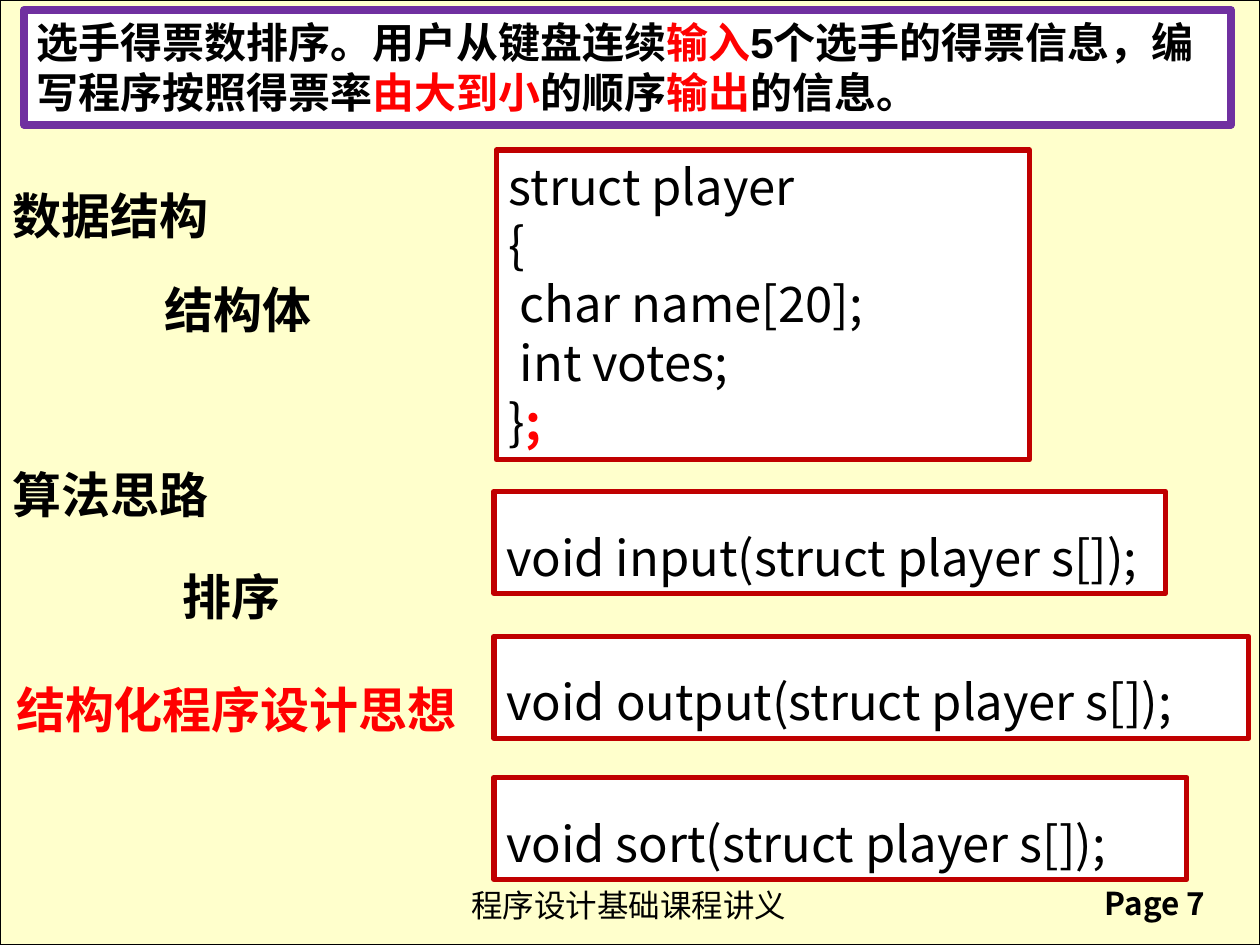
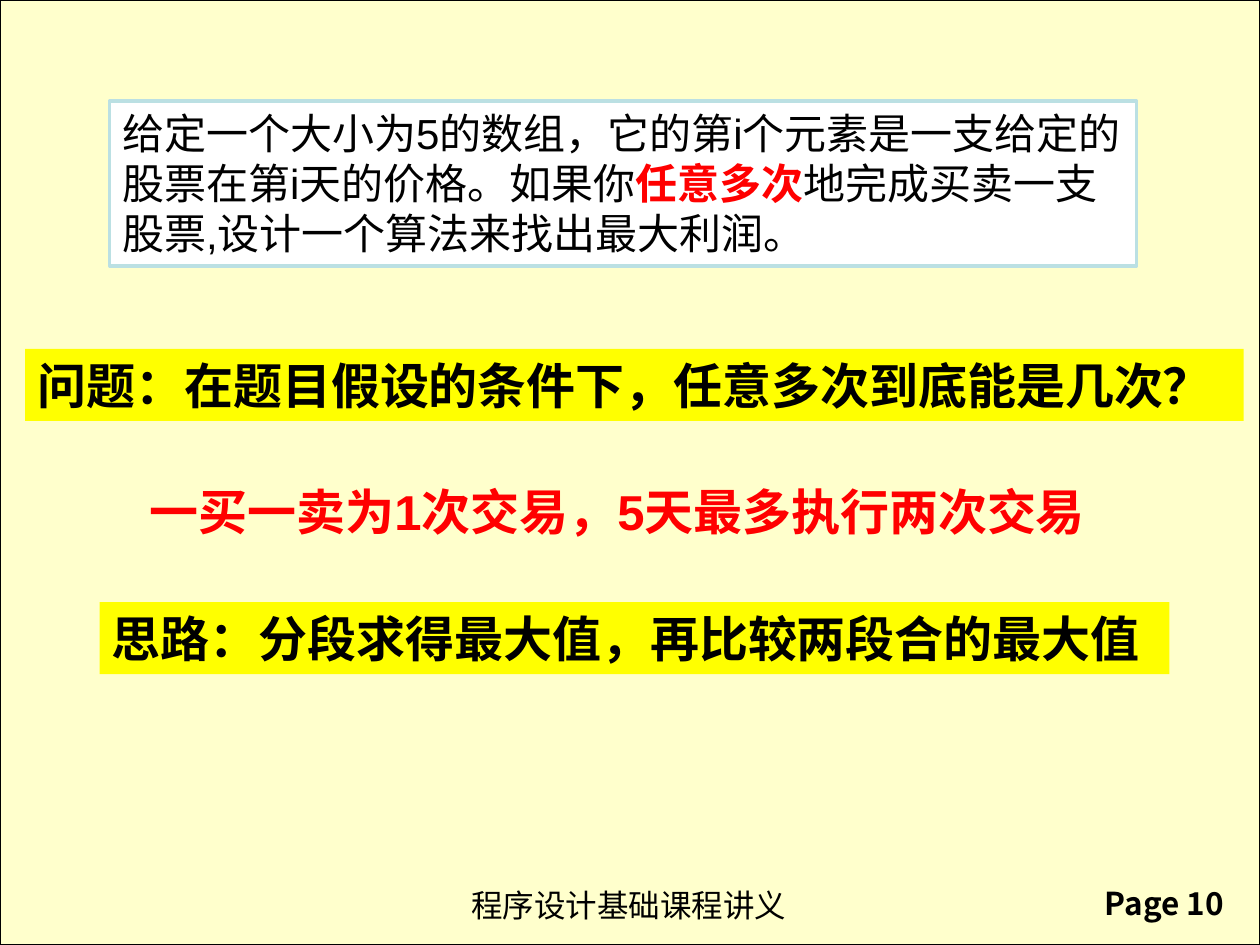
from pptx import Presentation
from pptx import util as u
from pptx.dml.color import RGBColor
from pptx.enum import shapes, text

PX = 9144  # EMU per px, 100 px to the inch
PAGE = (0, 0, 1000, 750)

BLACK = RGBColor(0x00, 0x00, 0x00)
WHITE = RGBColor(0xFF, 0xFF, 0xFF)
CREAM = RGBColor(0xFF, 0xFF, 0xCC)
YELLOW = RGBColor(0xFF, 0xFF, 0x00)
RED = RGBColor(0xFF, 0x00, 0x00)
DARK_RED = RGBColor(0xC0, 0x00, 0x00)
PURPLE = RGBColor(0x70, 0x30, 0xA0)
PALE_BLUE = RGBColor(0xBB, 0xE0, 0xE3)

LATIN, CJK = "Arial", "Noto Sans CJK SC"
HEADING = {"name": LATIN, "size": 28, "bold": True, "color": BLACK}
RED_HEADING = {**HEADING, "color": RED}
CODE = {"name": CJK, "size": 28, "bold": False, "color": BLACK}
BODY = {"name": LATIN, "size": 24, "bold": False, "color": BLACK}
BOLD_BODY = {**BODY, "bold": True}
FOOTER = {"name": LATIN, "size": 18, "bold": False, "color": BLACK}
PAGE_NUMBER = {**FOOTER, "name": CJK, "bold": True}
ACCENT = {"bold": True, "color": RED}


def inside(box, left, top, width, height):
    """Offset a part by the corner of the box that holds it."""
    return box[0] + left, box[1] + top, width, height


def set_font(font, style):
    for key, value in style.items():
        if key == "color":
            font.color.rgb = value
        else:
            setattr(font, key, u.Pt(value) if key == "size" else value)


def write(shape, content, style, wrap=True, spacing=None):
    """Write one paragraph per line; text between bars is accented."""
    frame = shape.text_frame
    frame.word_wrap = wrap
    frame.auto_size = text.MSO_AUTO_SIZE.SHAPE_TO_FIT_TEXT
    frame.vertical_anchor = text.MSO_ANCHOR.TOP
    for number, line in enumerate(content.split("\n")):
        paragraph = frame.add_paragraph() if number else frame.paragraphs[0]
        paragraph.alignment = text.PP_ALIGN.LEFT
        paragraph.line_spacing = spacing
        for index, part in enumerate(line.split("|")):
            if part:
                run = paragraph.add_run()
                run.text = part
                set_font(run.font, {**style, **ACCENT} if index % 2 else style)


def add_panel(slide, box, fill, line=None, weight=0):
    shape = slide.shapes.add_shape(shapes.MSO_SHAPE.RECTANGLE, *(n * PX for n in box))
    shape.shadow.inherit = False
    shape.fill.solid()
    shape.fill.fore_color.rgb = fill
    if line is None:
        shape.line.fill.background()
    else:
        shape.line.color.rgb = line
        shape.line.width = u.Pt(weight)
    return shape


def add_label(slide, box, content, style, wrap=False):
    shape = slide.shapes.add_textbox(*(n * PX for n in box))
    write(shape, content, style, wrap)


def add_page(presentation, box, number):
    """Blank slide with the shared background and footer."""
    slide = presentation.slides.add_slide(presentation.slide_layouts[6])
    add_panel(slide, box, CREAM, BLACK, 0.75)
    add_label(slide, inside(box, 364, 698, 273, 40), "程序设计基础课程讲义", FOOTER)
    add_label(slide, inside(box, 867, 697, 128, 40), f"Page {number}", PAGE_NUMBER)
    return slide


def add_code_column(slide, box):
    """Struct definition above the three function prototypes."""
    struct = add_panel(slide, inside(box, 2, 0, 423, 246), WHITE, DARK_RED, 3)
    write(struct, "struct player\n{\n char name[20];\n int votes;\n}|;|", CODE)
    prototypes = (("input", 271, 533), ("output", 386, 599), ("sort", 498, 550))
    for name, top, width in prototypes:
        panel = add_panel(slide, inside(box, 0, top, width, 81), WHITE, DARK_RED, 3)
        write(panel, f"void {name}(struct player s[]);", CODE, spacing=1.5)


def add_idea_column(slide, box):
    """Headings with their indented answers."""
    ideas = (
        ("数据结构", 0, 0, 178, HEADING),
        ("结构体", 121, 75, 139, HEADING),
        ("算法思路", 0, 222, 178, HEADING),
        ("排序", 135, 303, 99, HEADING),
        ("结构化程序设计思想", 3, 392, 375, RED_HEADING),
    )
    for content, left, top, width, style in ideas:
        add_label(slide, inside(box, left, top, width, 57), content, style)


def build_votes_slide(presentation, box):
    slide = add_page(presentation, box, 7)
    task = add_panel(slide, inside(box, 19, 8, 958, 91), WHITE, PURPLE, 4.5)
    write(task, "选手得票数排序。用户从键盘连续|输入|5个选手的得票信息，编写程序按照得票率"
                "|由大到小|的顺序|输出|的信息。", BOLD_BODY)
    add_code_column(slide, inside(box, 392, 119, 599, 579))
    add_idea_column(slide, inside(box, 0, 142, 378, 449))


def build_stock_slide(presentation, box):
    slide = add_page(presentation, box, 10)
    # Task statement
    task = add_panel(slide, inside(box, 87, 80, 815, 131), WHITE, PALE_BLUE, 2)
    write(task, "给定一个大小为5的数组，它的第i个元素是一支给定的股票在第i天的价格。如果你"
                "|任意多次|地完成买卖一支股票,设计一个算法来找出最大利润。", BODY)
    # Highlighted question and approach
    highlights = (
        ("问题：在题目假设的条件下，任意多次到底能是几次？", 20, 277, 967),
        ("思路：分段求得最大值，再比较两段合的最大值", 79, 478, 849),
    )
    for content, left, top, width in highlights:
        band = add_panel(slide, inside(box, left, top, width, 57), YELLOW)
        write(band, content, HEADING, wrap=False)
    # Answer
    add_label(slide, inside(box, 109, 377, 771, 57),
              "一买一卖为1次交易，5天最多执行两次交易", RED_HEADING, wrap=True)


def main():
    presentation = Presentation()
    presentation.slide_width = PAGE[2] * PX
    presentation.slide_height = PAGE[3] * PX
    build_votes_slide(presentation, PAGE)
    build_stock_slide(presentation, PAGE)
    presentation.save("out.pptx")


if __name__ == "__main__":
    main()
